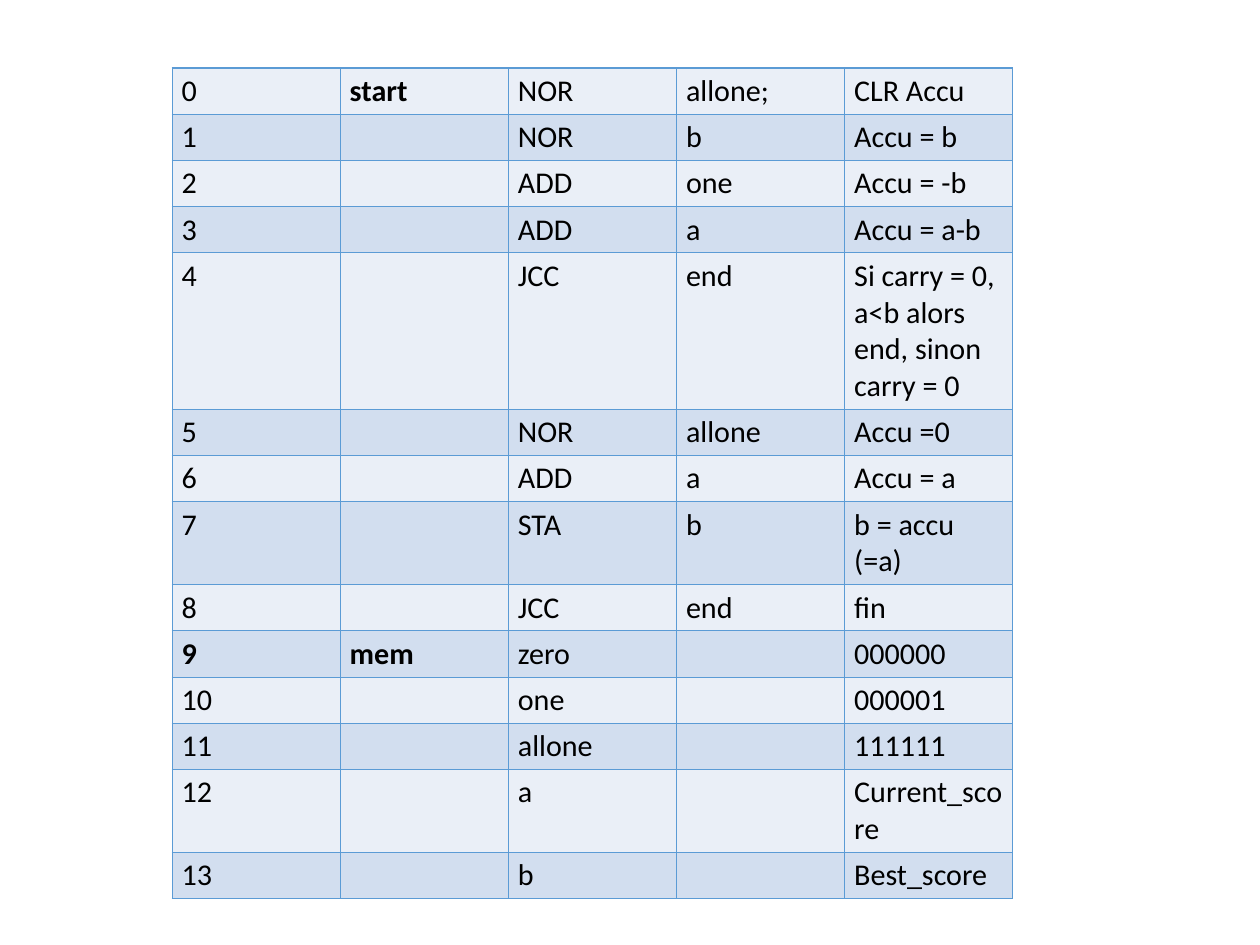
from dataclasses import dataclass

from lxml.etree import SubElement
from pptx import Presentation
from pptx.dml.color import RGBColor
from pptx.oxml.ns import qn
from pptx.slide import Slide
from pptx.table import _Cell
from pptx.util import Pt

BLACK = RGBColor(0x00, 0x00, 0x00)
BORDER_BLUE = RGBColor(0x5B, 0x9B, 0xD5)
BAND_COLORS = (RGBColor(0xEA, 0xEF, 0xF7), RGBColor(0xD2, 0xDE, 0xEF))

SLIDE_WIDTH, SLIDE_HEIGHT = Pt(959), Pt(719.3)
TABLE_LEFT, TABLE_TOP = Pt(131), Pt(51.8)
COLUMN_WIDTH = Pt(128)
ROW_HEIGHT = Pt(35)
EXTRA_LINE_HEIGHT = Pt(28)
BORDER_WIDTH = Pt(1)
TEXT_FORMAT = {"name": "Calibri", "size": Pt(22.9)}


@dataclass(frozen=True)
class Instruction:
    """One line of the assembly program; the row number is its address."""

    operation: str
    operand: str
    remark: str
    label: str = ""
    remark_lines: int = 1
    bold_address: bool = False

    @property
    def height(self) -> int:
        """Row height that holds the wrapped remark."""
        return ROW_HEIGHT + EXTRA_LINE_HEIGHT * (self.remark_lines - 1)


PROGRAM = [
    Instruction("NOR", "allone;", "CLR Accu", label="start"),
    Instruction("NOR", "b", "Accu = b"),
    Instruction("ADD", "one", "Accu = -b"),
    Instruction("ADD", "a", "Accu = a-b"),
    Instruction("JCC", "end", "Si carry = 0, a<b alors end, sinon carry = 0",
                remark_lines=4),
    Instruction("NOR", "allone", "Accu =0"),
    Instruction("ADD", "a", "Accu = a"),
    Instruction("STA", "b", "b = accu (=a)", remark_lines=2),
    Instruction("JCC", "end", "fin"),
    Instruction("zero", "", "000000", label="mem", bold_address=True),
    Instruction("one", "", "000001"),
    Instruction("allone", "", "111111"),
    Instruction("a", "", "Current_score", remark_lines=2),
    Instruction("b", "", "Best_score"),
]
COLUMN_COUNT = 5


def add_borders(cell: _Cell) -> None:
    """Draw a thin blue line on each side of the cell."""
    properties = cell._tc.get_or_add_tcPr()
    for side in ("lnL", "lnR", "lnT", "lnB"):
        line = SubElement(properties, qn(f"a:{side}"), w=str(BORDER_WIDTH))
        fill = SubElement(line, qn("a:solidFill"))
        SubElement(fill, qn("a:srgbClr"), val=str(BORDER_BLUE))


def fill_cell(cell: _Cell, text: str, bold: bool, color: RGBColor) -> None:
    """Set the borders, fill and text of one cell."""
    add_borders(cell)
    cell.fill.solid()
    cell.fill.fore_color.rgb = color
    paragraph = cell.text_frame.paragraphs[0]
    if not text:
        paragraph.font.size = TEXT_FORMAT["size"]
        return
    run = paragraph.add_run()
    run.text = text
    for name, value in {**TEXT_FORMAT, "bold": bold}.items():
        setattr(run.font, name, value)
    run.font.color.rgb = BLACK


def add_program_table(slide: Slide, program: list[Instruction]) -> None:
    """Add the banded table that lists the program."""
    table = slide.shapes.add_table(
        len(program), COLUMN_COUNT, TABLE_LEFT, TABLE_TOP,
        COLUMN_WIDTH * COLUMN_COUNT, sum(line.height for line in program),
    ).table
    table.first_row = False
    for column in table.columns:
        column.width = COLUMN_WIDTH
    for address, instruction in enumerate(program):
        row = table.rows[address]
        row.height = instruction.height
        entries = (
            (str(address), instruction.bold_address),
            (instruction.label, True),
            (instruction.operation, False),
            (instruction.operand, False),
            (instruction.remark, False),
        )
        for cell, (text, bold) in zip(row.cells, entries):
            fill_cell(cell, text, bold, BAND_COLORS[address % 2])


def main() -> None:
    """Build the slide and save it."""
    presentation = Presentation()
    presentation.slide_width = SLIDE_WIDTH
    presentation.slide_height = SLIDE_HEIGHT
    slide = presentation.slides.add_slide(presentation.slide_layouts[6])
    add_program_table(slide, PROGRAM)
    presentation.save("out.pptx")


main()
